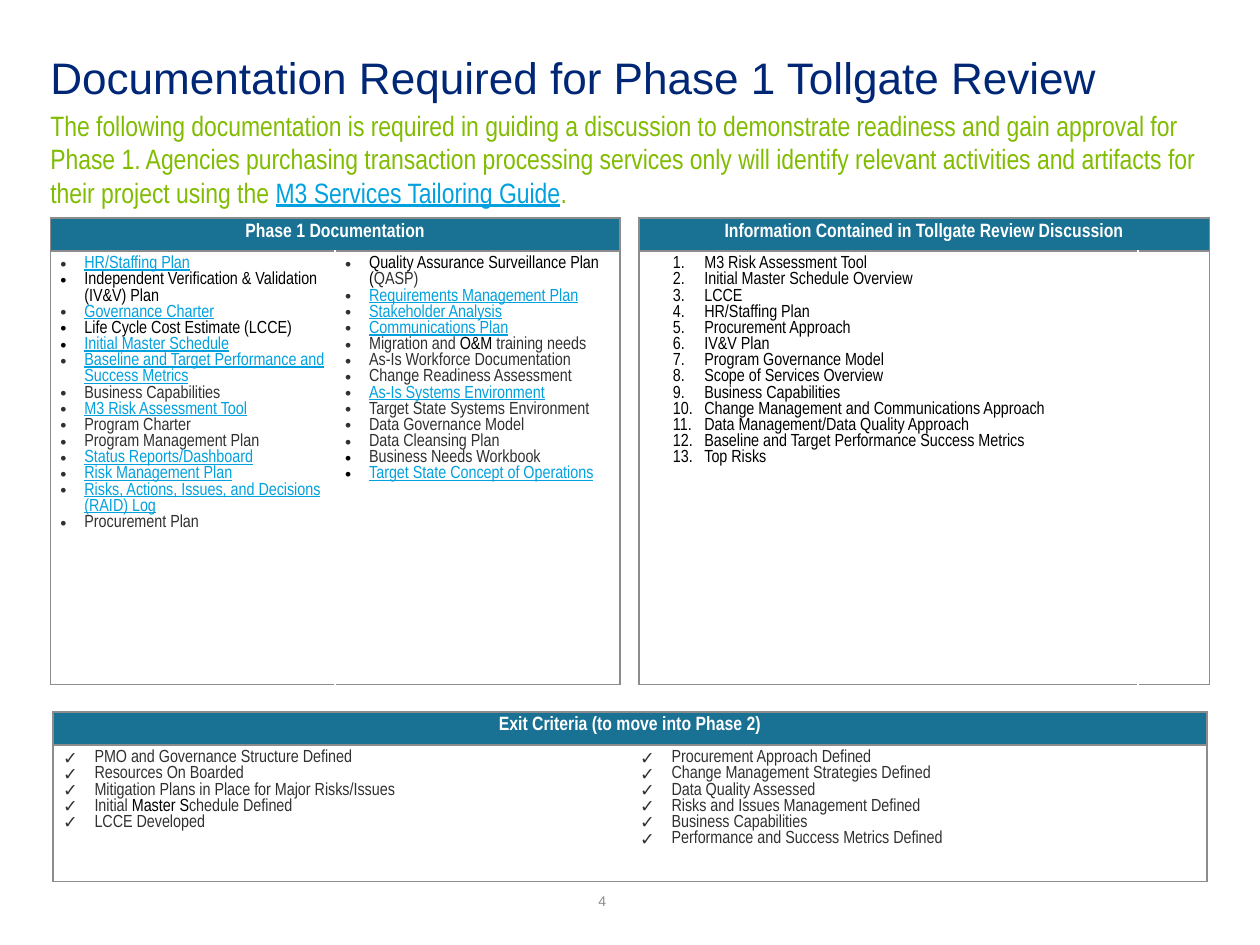
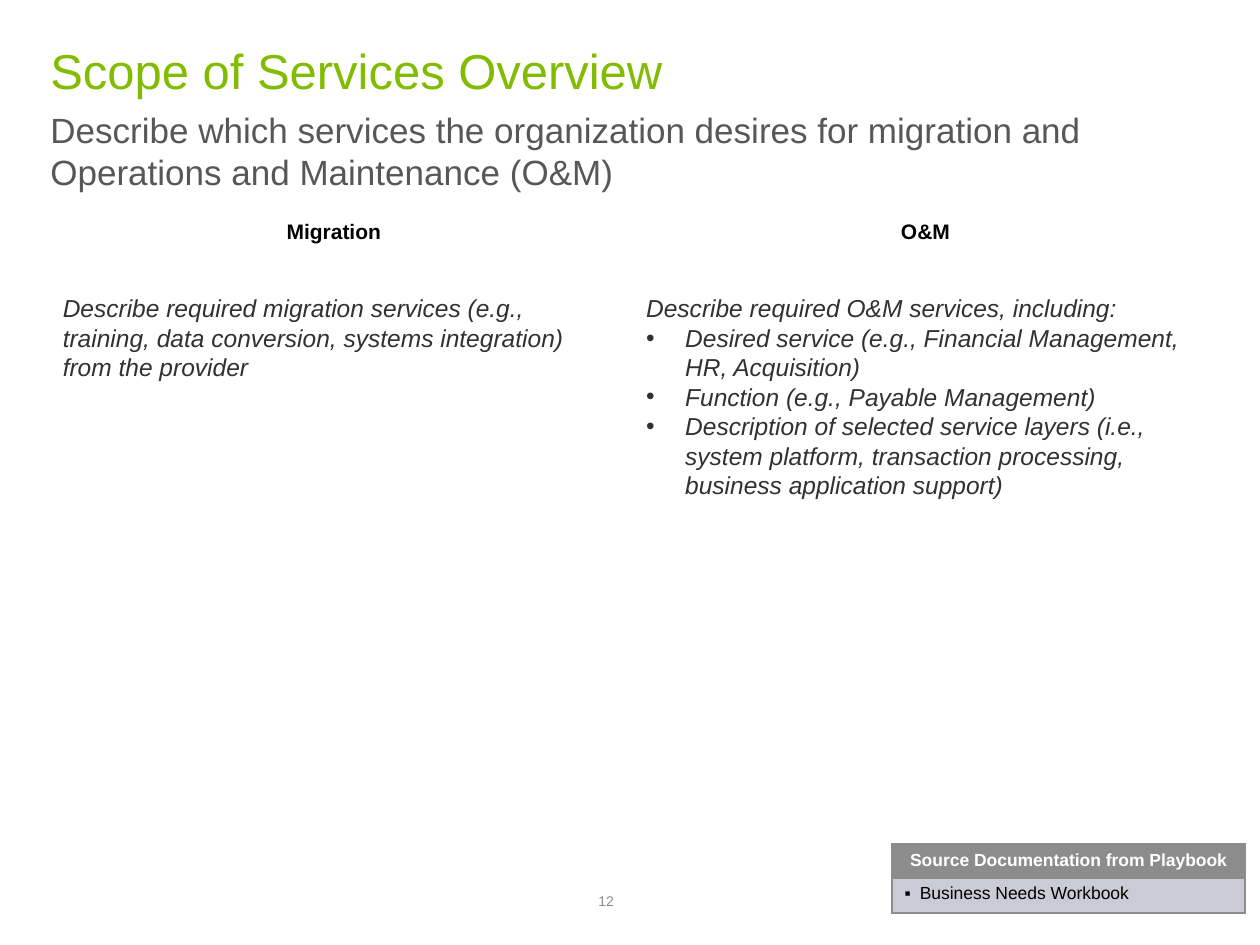
"""Builds the Phase 1 tollgate documentation and scope of services slides."""
import dataclasses

import lxml.etree
import pptx
import pptx.dml.color
import pptx.enum.shapes
import pptx.enum.text
import pptx.oxml.ns
import pptx.util

Inches = pptx.util.Inches
Color = pptx.dml.color.RGBColor
ALIGN = pptx.enum.text.PP_ALIGN
ANCHOR = pptx.enum.text.MSO_ANCHOR

NAVY = Color(0x00, 0x27, 0x76)
GREEN = Color(0x81, 0xBC, 0x00)
SKY = Color(0x00, 0xA1, 0xDE)
TEAL = Color(0x19, 0x71, 0x93)
GRAY = Color(0x8C, 0x8C, 0x8C)
SLATE = Color(0x57, 0x57, 0x57)
INK = Color(0x31, 0x31, 0x31)
PALE = Color(0xCA, 0xCB, 0xD5)
BLACK = Color(0, 0, 0)
WHITE = Color(255, 255, 255)

SANS = "Arial"
NARROW = "Arial Narrow"
LEFT, CONTENT_WIDTH = 0.4, 9.2
NUMBERED = "arabicPeriod"


@dataclasses.dataclass
class Style:
    size: float
    color: Color = INK
    font: str = SANS
    bold: bool = False
    italic: bool = False
    spacing: float = 1.0
    align: ALIGN = ALIGN.LEFT


@dataclasses.dataclass
class Entry:
    spans: list
    mark: str = ""
    indent: tuple = (0, 0)
    mark_color: Color = INK


def plain(text, color=None, mark_color=INK):
    return Entry([(text, color)], mark_color=mark_color)


def link(text, mark_color=INK):
    return plain(text, SKY, mark_color)


def marked(entries, mark, left, hang):
    return [dataclasses.replace(entry, mark=mark, indent=(left, -hang)) for entry in entries]


TITLES = {
    "documentation": "Documentation Required for Phase 1 Tollgate Review",
    "scope": "Scope of Services Overview",
}
DOCUMENTATION_INTRO = Entry([
    ("The following documentation is required in guiding a discussion to demonstrate readiness and gain "
     "approval for Phase 1. Agencies purchasing transaction processing services only will identify relevant "
     "activities and artifacts for their project using the ", None),
    ("M3 Services Tailoring Guide", SKY),
    (".", None),
])
SCOPE_INTRO = plain("Describe which services the organization desires for migration and "
                    "Operations and Maintenance (O&M)")

DOCUMENTS_LEFT = [
    link("HR/Staffing Plan"),
    plain("Independent Verification & Validation (IV&V) Plan", BLACK, BLACK),
    link("Governance Charter"),
    plain("Life Cycle Cost Estimate (LCCE)", BLACK, BLACK),
    link("Initial Master Schedule", BLACK),
    link("Baseline and Target Performance and Success Metrics"),
    plain("Business Capabilities"),
    link("M3 Risk Assessment Tool"),
    plain("Program Charter"),
    plain("Program Management Plan"),
    link("Status Reports/Dashboard"),
    link("Risk Management Plan"),
    link("Risks, Actions, Issues, and Decisions (RAID) Log"),
    plain("Procurement Plan"),
]
DOCUMENTS_RIGHT = [
    Entry([("Quality Assurance Surveillance Plan (", BLACK), ("QASP)", None)]),
    link("Requirements Management Plan"),
    link("Stakeholder Analysis"),
    link("Communications Plan"),
    Entry([("Migration and ", None), ("O&M ", BLACK), ("training needs", None)]),
    plain("As-Is Workforce Documentation"),
    plain("Change Readiness Assessment"),
    link("As-Is Systems Environment"),
    plain("Target State Systems Environment"),
    plain("Data Governance Model"),
    plain("Data Cleansing Plan"),
    plain("Business Needs Workbook", mark_color=BLACK),
    link("Target State Concept of Operations", BLACK),
]
DISCUSSION = [plain(text, BLACK, BLACK) for text in (
    "M3 Risk Assessment Tool",
    "Initial Master Schedule Overview",
    "LCCE",
    "HR/Staffing Plan",
    "Procurement Approach",
    "IV&V Plan",
    "Program Governance Model",
    "Scope of Services Overview",
    "Business Capabilities",
    "Change Management and Communications Approach",
    "Data Management/Data Quality Approach",
    "Baseline and Target Performance Success Metrics",
    "Top Risks",
)]
EXIT_LEFT = [
    plain("PMO and Governance Structure Defined"),
    plain("Resources On Boarded"),
    plain("Mitigation Plans in Place for Major Risks/Issues"),
    Entry([("Initial ", None), ("Master S", BLACK), ("chedule Defined", None)]),
    plain("LCCE Developed"),
]
EXIT_RIGHT = [plain(text) for text in (
    "Procurement Approach Defined",
    "Change Management Strategies Defined",
    "Data Quality Assessed",
    "Risks and Issues Management Defined",
    "Business Capabilities",
    "Performance and Success Metrics Defined",
)]
MIGRATION = [plain("Describe required migration services (e.g., training, data conversion, "
                   "systems integration) from the provider")]
OPERATIONS = [plain("Describe required O&M services, including:")] + marked([
    plain("Desired service (e.g., Financial Management, HR, Acquisition)"),
    plain("Function (e.g., Payable Management)"),
    plain("Description of selected service layers (i.e., system platform, transaction processing, "
          "business application support)"),
], "•", 0.31, 0.31)
SERVICES = [
    ("Migration", (2.17, 1.73, 0.96, 0.2), MIGRATION, (LEFT, 2.28, 4.46, 0.81)),
    ("O&M", (7.05, 1.73, 0.59, 0.2), OPERATIONS, (5.03, 2.28, 4.57, 1.75)),
]

TABLE_HEAD = Style(11, WHITE, NARROW, bold=True, align=ALIGN.CENTER)
TABLE_BODY = Style(10, INK, NARROW)
SOURCE_HEAD = Style(10, WHITE, bold=True, align=ALIGN.CENTER)
SOURCE_BODY = Style(10, BLACK)
SERVICE_HEAD = Style(12, BLACK, bold=True, spacing=1.06, align=ALIGN.CENTER)
SERVICE_BODY = Style(14, italic=True)


def add_element(parent, tag, **attributes):
    return lxml.etree.SubElement(parent, pptx.oxml.ns.qn("a:" + tag), **attributes)


def add_color(parent, color):
    add_element(add_element(parent, "solidFill"), "srgbClr", val=str(color))


def set_mark(para, entry):
    properties = para._p.get_or_add_pPr()
    left, first = entry.indent
    properties.set("marL", str(Inches(left)))
    properties.set("indent", str(Inches(first)))
    add_element(add_element(properties, "buClr"), "srgbClr", val=str(entry.mark_color))
    add_element(properties, "buFont", typeface=SANS)
    if entry.mark == NUMBERED:
        add_element(properties, "buAutoNum", type=NUMBERED)
    else:
        add_element(properties, "buChar", char=entry.mark)


def write(frame, entries, style):
    for index, entry in enumerate(entries):
        para = frame.add_paragraph() if index else frame.paragraphs[0]
        para.alignment = style.align
        para.line_spacing = style.spacing
        if entry.mark:
            set_mark(para, entry)
        for text, color in entry.spans:
            span = para.add_run()
            span.text = text
            span.font.name = style.font
            span.font.size = pptx.util.Pt(style.size)
            span.font.bold = style.bold
            span.font.italic = style.italic
            span.font.underline = color == SKY
            span.font.color.rgb = color or style.color


def set_margins(target, horizontal, vertical):
    target.margin_left = target.margin_right = Inches(horizontal)
    target.margin_top = target.margin_bottom = Inches(vertical)


def add_text(page, place, entries, style, margins=(0, 0), anchor=ANCHOR.TOP):
    box = page.shapes.add_textbox(*map(Inches, place))
    box.text_frame.word_wrap = True
    box.text_frame.vertical_anchor = anchor
    set_margins(box.text_frame, *margins)
    write(box.text_frame, entries, style)


def add_heading(page, place, text):
    box = page.shapes.add_shape(pptx.enum.shapes.MSO_SHAPE.RECTANGLE, *map(Inches, place))
    box.shadow.inherit = False
    box.fill.solid()
    box.fill.fore_color.rgb = WHITE
    box.line.fill.background()
    box.text_frame.word_wrap = False
    box.text_frame.vertical_anchor = ANCHOR.MIDDLE
    set_margins(box.text_frame, 0.1, 0)
    write(box.text_frame, [plain(text)], SERVICE_HEAD)


def set_borders(cell, colors):
    properties = cell._tc.get_or_add_tcPr()
    for side, color in zip("LRTB", colors):
        line = add_element(properties, "ln" + side, w=str(pptx.util.Pt(1)))
        if color is None:
            add_element(line, "noFill")
        else:
            add_color(line, color)


def add_panel(page, corner, widths, heights, head, columns, head_style, body_style,
              head_fill=TEAL, body_fill=None, inner=WHITE, margins=(0.08, 0.04)):
    count = len(widths)
    frame = page.shapes.add_table(2, count, *map(Inches, (*corner, sum(widths), sum(heights))))
    table = frame.table
    table.first_row = table.horz_banding = False
    for column, width in zip(table.columns, widths):
        column.width = Inches(width)
    for row, height in zip(table.rows, heights):
        row.height = Inches(height)
    if count > 1:
        table.cell(0, 0).merge(table.cell(0, count - 1))
    contents = [[[plain(head)]] + [[]] * (count - 1), columns]
    rows = zip(contents, (head_style, body_style), (head_fill, body_fill), (GRAY, inner))
    for row_index, (texts, style, fill, divider) in enumerate(rows):
        for index, entries in enumerate(texts):
            cell = table.cell(row_index, index)
            set_margins(cell, *margins)
            set_borders(cell, (divider if index else GRAY,
                               divider if index < count - 1 else GRAY, GRAY, GRAY))
            if fill is None:
                cell.fill.background()
            else:
                cell.fill.solid()
                cell.fill.fore_color.rgb = fill
            write(cell.text_frame, entries, style)


def add_page(deck, number, title, title_style, title_top, intro, intro_style):
    page = deck.slides.add_slide(deck.slide_layouts[6])
    add_text(page, (4.75, 7.09, 0.5, 0.13), [plain(str(number))], Style(8, GRAY),
             anchor=ANCHOR.BOTTOM)
    add_text(page, (LEFT, title_top, CONTENT_WIDTH, 0.51), [plain(title)], title_style)
    add_text(page, (LEFT, 0.86, CONTENT_WIDTH, 0.83), [intro], intro_style)
    return page


def build_documentation(deck):
    page = add_page(deck, 4, TITLES["documentation"], Style(25.2, NAVY), 0.4,
                    DOCUMENTATION_INTRO, Style(16, GREEN, NARROW))
    documents = [marked(part, "•", 0.19, 0.19) for part in (DOCUMENTS_LEFT, DOCUMENTS_RIGHT)]
    criteria = [marked(part, "✓", 0.25, 0.25) for part in (EXIT_LEFT, EXIT_RIGHT)]
    discussion = [marked(DISCUSSION, NUMBERED, 0.44, 0.25), []]
    styles = (TABLE_HEAD, TABLE_BODY)
    add_panel(page, (0.42, 5.65), (4.58, 4.58), (0.18, 1.05),
              "Exit Criteria (to move into Phase 2)", criteria, *styles, inner=None)
    add_panel(page, (5.07, 1.73), (3.96, 0.57), (0.24, 3.44),
              "Information Contained in Tollgate Review Discussion", discussion, *styles)
    add_panel(page, (LEFT, 1.73), (2.26, 2.26), (0.25, 3.44),
              "Phase 1 Documentation", documents, *styles)


def build_scope(deck):
    page = add_page(deck, 12, TITLES["scope"], Style(28, GREEN), 0.32, SCOPE_INTRO, Style(20, SLATE))
    source = marked([plain("Business Needs Workbook", mark_color=BLACK)], "▪", 0.12, 0.12)
    add_panel(page, (7.08, 6.7), (2.8,), (0.24, 0.28), "Source Documentation from Playbook", [source],
              SOURCE_HEAD, SOURCE_BODY, GRAY, PALE, margins=(0.1, 0.05))
    for name, heading_place, entries, place in SERVICES:
        add_heading(page, heading_place, name)
        add_text(page, place, entries, SERVICE_BODY, (0.1, 0.05))


def main():
    deck = pptx.Presentation()
    deck.slide_width, deck.slide_height = Inches(10), Inches(7.5)
    build_documentation(deck)
    build_scope(deck)
    deck.save("out.pptx")


if __name__ == "__main__":
    main()
